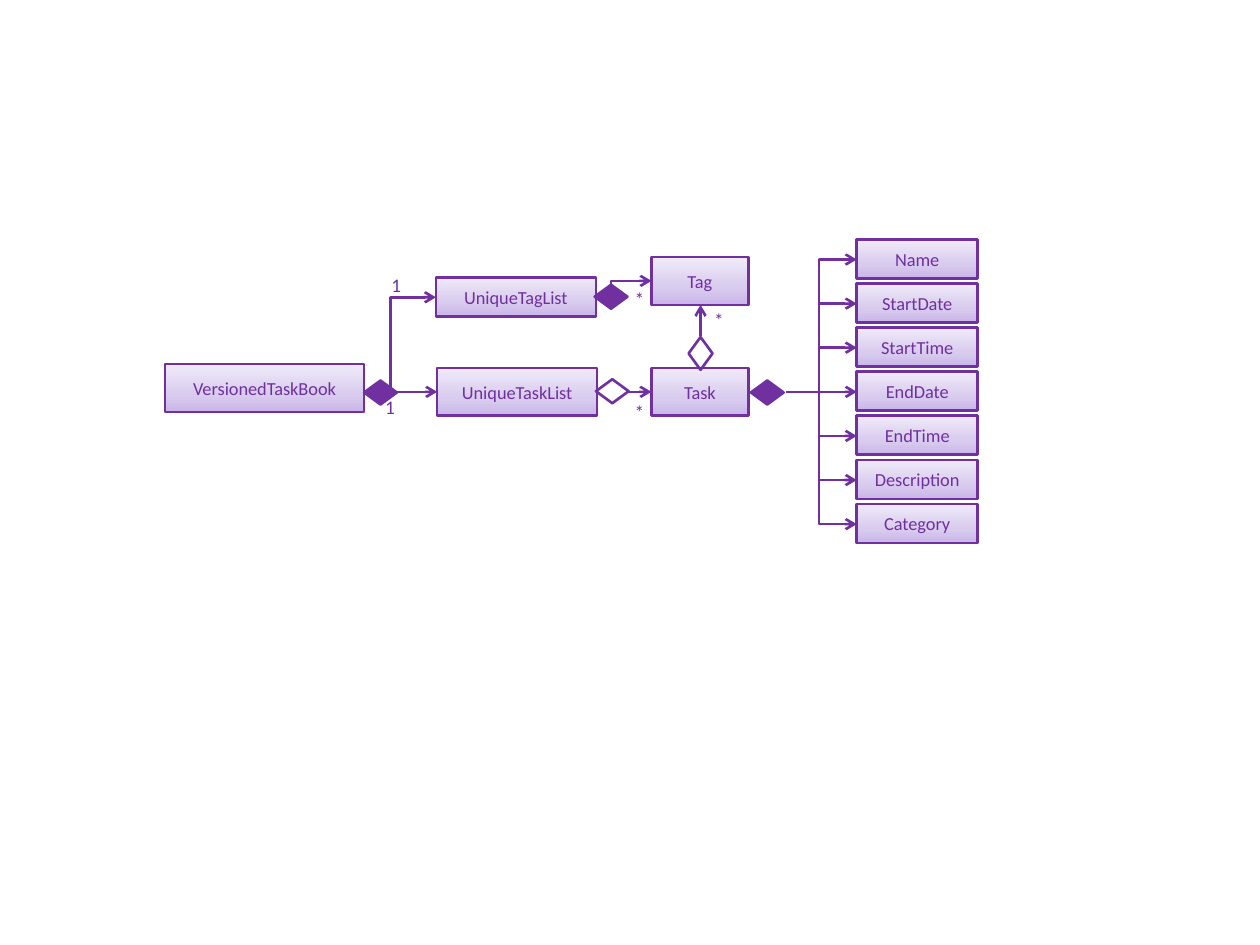
from copy import deepcopy
from dataclasses import dataclass

from lxml.etree import SubElement
from pptx import Presentation
from pptx.dml.color import RGBColor
from pptx.enum.shapes import MSO_CONNECTOR, MSO_SHAPE
from pptx.enum.text import MSO_ANCHOR, PP_ALIGN
from pptx.oxml.ns import qn
from pptx.util import Inches, Pt


@dataclass(frozen=True)
class Theme:
    """Colours, type sizes and line width of the diagram."""
    ink: RGBColor = RGBColor(0x70, 0x30, 0xA0)
    shades: tuple = ((0, "C9B5E8"), (0.35, "D8CBEE"), (1, "F0EAF9"))
    font: str = "Calibri"
    body: float = 10.5
    mark: float = 11
    line: float = 1.5


THEME = Theme()


def write(frame, text, size):
    """Put one centred line of text in a frame."""
    frame.word_wrap = True
    para = frame.paragraphs[0]
    para.text = text
    para.alignment = PP_ALIGN.CENTER
    para.font.name = THEME.font
    para.font.size = Pt(size)
    para.font.color.rgb = THEME.ink


def outline(line):
    """Give a line the diagram's colour and width."""
    line.color.rgb = THEME.ink
    line.width = Pt(THEME.line)


def add_class(slide, text, left, top, width, height):
    """Add a class box with a shaded fill."""
    box = slide.shapes.add_shape(
        MSO_SHAPE.RECTANGLE, Inches(left), Inches(top), Inches(width), Inches(height))
    box.shadow.inherit = False
    box.fill.gradient()
    box.fill.gradient_angle = 90
    first = box._element.spPr.find(".//" + qn("a:gs"))
    first.addnext(deepcopy(first))
    for stop, (place, shade) in zip(box.fill.gradient_stops, THEME.shades):
        stop.position = place
        stop.color.rgb = RGBColor.from_string(shade)
    outline(box.line)
    box.text_frame.vertical_anchor = MSO_ANCHOR.MIDDLE
    write(box.text_frame, text, THEME.body)


def add_diamond(slide, left, top, solid, turn=0):
    """Add a composition (solid) or aggregation (hollow) diamond."""
    gem = slide.shapes.add_shape(
        MSO_SHAPE.FLOWCHART_DECISION, Inches(left), Inches(top), Inches(0.26), Inches(0.19))
    gem.shadow.inherit = False
    gem.rotation = turn
    if solid:
        gem.fill.solid()
        gem.fill.fore_color.rgb = THEME.ink
    else:
        gem.fill.background()
    outline(gem.line)


def add_mark(slide, text, left, top):
    """Add a multiplicity mark."""
    box = slide.shapes.add_textbox(Inches(left), Inches(top), Inches(0.21), Inches(0.2))
    frame = box.text_frame
    frame.margin_left = frame.margin_right = frame.margin_top = frame.margin_bottom = 0
    write(frame, text, THEME.mark)


def add_arrow(slide, x1, y1, x2, y2, kind=MSO_CONNECTOR.STRAIGHT):
    """Add a connector with an open arrowhead at its end."""
    arrow = slide.shapes.add_connector(kind, Inches(x1), Inches(y1), Inches(x2), Inches(y2))
    outline(arrow.line)
    props = arrow._element.spPr
    SubElement(props.find(qn("a:ln")), qn("a:tailEnd"), type="arrow")
    SubElement(props, qn("a:effectLst"))
    return props


def add_elbow(slide, x1, y1, x2, y2):
    """Add an arrow that runs vertically, then right to its end."""
    midx, midy = (x1 + x2) / 2, (y1 + y2) / 2
    rise, run = abs(y2 - y1) / 2, (x2 - x1) / 2
    side = run if y2 < y1 else -run
    props = add_arrow(slide, midx + rise, midy + side, midx - rise, midy - side,
                      MSO_CONNECTOR.ELBOW)
    props.find(qn("a:xfrm")).set("rot", "5400000" if y2 < y1 else "16200000")
    props.find(qn("a:prstGeom")).set("prst", "bentConnector2")


def add_lists(slide, left, top):
    """Draw the task book, its lists, and their members."""
    for text, x, y, width, height in (
            ("VersionedTaskBook", 0, 0.85, 1.58, 0.38),
            ("UniqueTagList", 2.15, 0.16, 1.27, 0.31),
            ("UniqueTaskList", 2.16, 0.88, 1.27, 0.38),
            ("Tag", 3.86, 0, 0.77, 0.38),
            ("Task", 3.86, 0.88, 0.77, 0.38)):
        add_class(slide, text, left + x, top + y, width, height)
    for x, y, solid, turn in (
            (1.58, 0.98, True, 0), (3.41, 0.22, True, 0),
            (3.42, 0.97, False, 0), (4.12, 0.67, False, 270)):
        add_diamond(slide, left + x, top + y, solid, turn)
    for x1, y1, x2, y2 in ((1.79, 1.1, 2.15, 0.32), (3.54, 0.22, 3.86, 0.19)):
        add_elbow(slide, left + x1, top + y1, left + x2, top + y2)
    for x1, y1, x2, y2 in (
            (1.79, 1.07, 2.16, 1.07), (3.68, 1.07, 3.86, 1.07), (4.25, 0.63, 4.25, 0.38)):
        add_arrow(slide, left + x1, top + y1, left + x2, top + y2)
    for text, x, y in (
            ("1", 1.73, 0.13), ("1", 1.68, 1.1),
            ("*", 3.66, 0.24), ("*", 3.66, 1.14), ("*", 4.29, 0.41)):
        add_mark(slide, text, left + x, top + y)


def add_fields(slide, left, top):
    """Draw the parts of a task, fanned out from one diamond."""
    names = ("Name", "StartDate", "StartTime", "EndDate",
             "EndTime", "Description", "Category")
    pitch, column, trunk, hub = 0.35, 0.84, 0.54, 3
    for row, name in enumerate(names):
        add_class(slide, name, left + column, top + row * pitch, 0.96, 0.31)
    add_diamond(slide, left, top + 1.12, True)
    for row in range(len(names)):
        y = top + 0.16 + row * pitch
        if row == hub:
            add_arrow(slide, left + 0.28, y, left + column, y)
        else:
            start = y + pitch if row < hub else y - pitch
            add_elbow(slide, left + trunk, start, left + column, y)


def main():
    """Build the class diagram and save it."""
    deck = Presentation()
    deck.slide_width, deck.slide_height = Inches(10), Inches(7.5)
    slide = deck.slides.add_slide(deck.slide_layouts[6])
    add_lists(slide, 1.31, 2.04)
    add_fields(slide, 5.96, 1.9)
    deck.save("out.pptx")


main()
